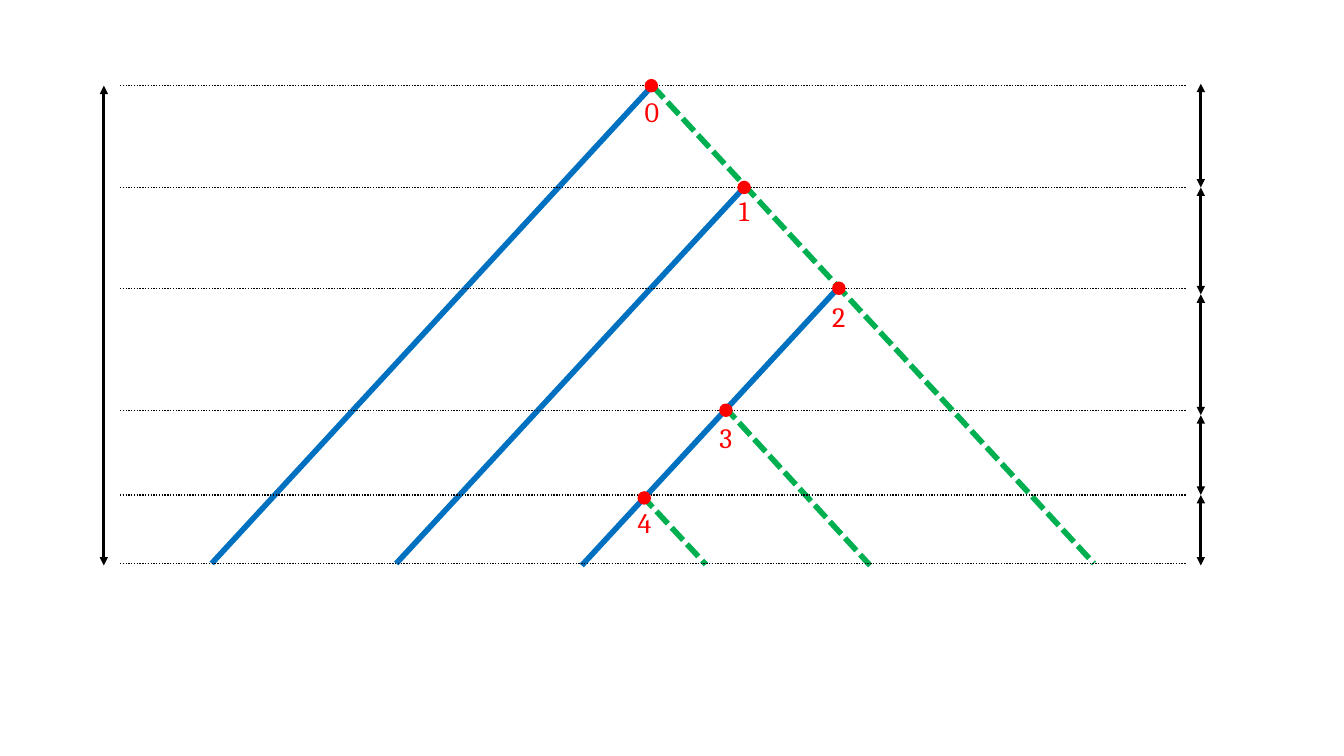
import pptx
import pptx.util
import pptx.dml.color
import pptx.enum.dml
import pptx.enum.shapes
import pptx.enum.text
import pptx.oxml.ns
import lxml.etree

Inches = pptx.util.Inches
Dash = pptx.enum.dml.MSO_LINE
COLORS = {"left": "0070C0", "right": "00B050", "rule": "000000", "node": "FF0000"}

deck = pptx.Presentation()
deck.slide_width = Inches(13.33)
deck.slide_height = Inches(7.5)
slide = deck.slides.add_slide(deck.slide_layouts[6])
tree = slide.shapes.add_group_shape().shapes


def color(name):
    return pptx.dml.color.RGBColor.from_string(COLORS[name])


def draw_line(x1, y1, x2, y2, name, width, dash=None, arrows=False):
    line = tree.add_connector(pptx.enum.shapes.MSO_CONNECTOR.STRAIGHT,
                              Inches(x1), Inches(y1), Inches(x2), Inches(y2))
    line.line.color.rgb = color(name)
    line.line.width = pptx.util.Pt(width)
    if dash:
        line.line.dash_style = dash
    if arrows:
        stroke = line.line._get_or_add_ln()
        for end in ("a:headEnd", "a:tailEnd"):
            lxml.etree.SubElement(stroke, pptx.oxml.ns.qn(end), type="triangle")
    lxml.etree.SubElement(line._element.spPr, pptx.oxml.ns.qn("a:effectLst"))


# Left branches, solid
for x1, y1, x2, y2 in [(6.47, 0.85, 2.1, 5.59), (7.38, 1.86, 3.93, 5.59),
                       (8.31, 2.86, 5.77, 5.61)]:
    draw_line(x1, y1, x2, y2, "left", 4)

# Right branches, dashed
for x1, y1, x2, y2 in [(6.47, 0.85, 10.85, 5.59), (7.18, 4.03, 8.63, 5.61),
                       (6.36, 4.91, 7, 5.6)]:
    draw_line(x1, y1, x2, y2, "right", 4, Dash.SQUARE_DOT)

# Dotted level lines
for y in [0.85, 1.86, 2.86, 4.07, 4.91, 5.59]:
    draw_line(1.19, y, 11.76, y, "rule", 1, Dash.ROUND_DOT)

# Full span on the left, one span per level on the right
draw_line(1.03, 0.85, 1.03, 5.61, "rule", 2, arrows=True)
stops = [0.83, 1.86, 2.92, 4.12, 4.91, 5.61]
for top, bottom in zip(stops, stops[1:]):
    draw_line(11.91, top, 11.91, bottom, "rule", 2, arrows=True)

# Numbered nodes: centre of dot, then top of label
size = 0.12
nodes = [(6.46, 0.85, 0.89), (7.38, 1.86, 1.87), (8.32, 2.86, 2.92),
         (7.2, 4.07, 4.12), (6.39, 4.94, 4.97)]
for number, (x, y, top) in enumerate(nodes):
    dot = tree.add_shape(pptx.enum.shapes.MSO_SHAPE.OVAL, Inches(x - size / 2),
                         Inches(y - size / 2), Inches(size), Inches(size))
    dot.shadow.inherit = False
    dot.fill.solid()
    dot.fill.fore_color.rgb = color("node")
    dot.line.color.rgb = color("node")
    dot.line.width = pptx.util.Pt(1)

    label = tree.add_textbox(Inches(x - 0.165), Inches(top), Inches(0.33), Inches(0.44))
    frame = label.text_frame
    frame.word_wrap = False
    frame.auto_size = pptx.enum.text.MSO_AUTO_SIZE.SHAPE_TO_FIT_TEXT
    line = frame.paragraphs[0]
    line.alignment = pptx.enum.text.PP_ALIGN.CENTER
    run = line.add_run()
    run.text = str(number)
    run.font.name = "Cambria"
    run.font.size = pptx.util.Pt(20)
    run.font.color.rgb = color("node")

deck.save("out.pptx")
